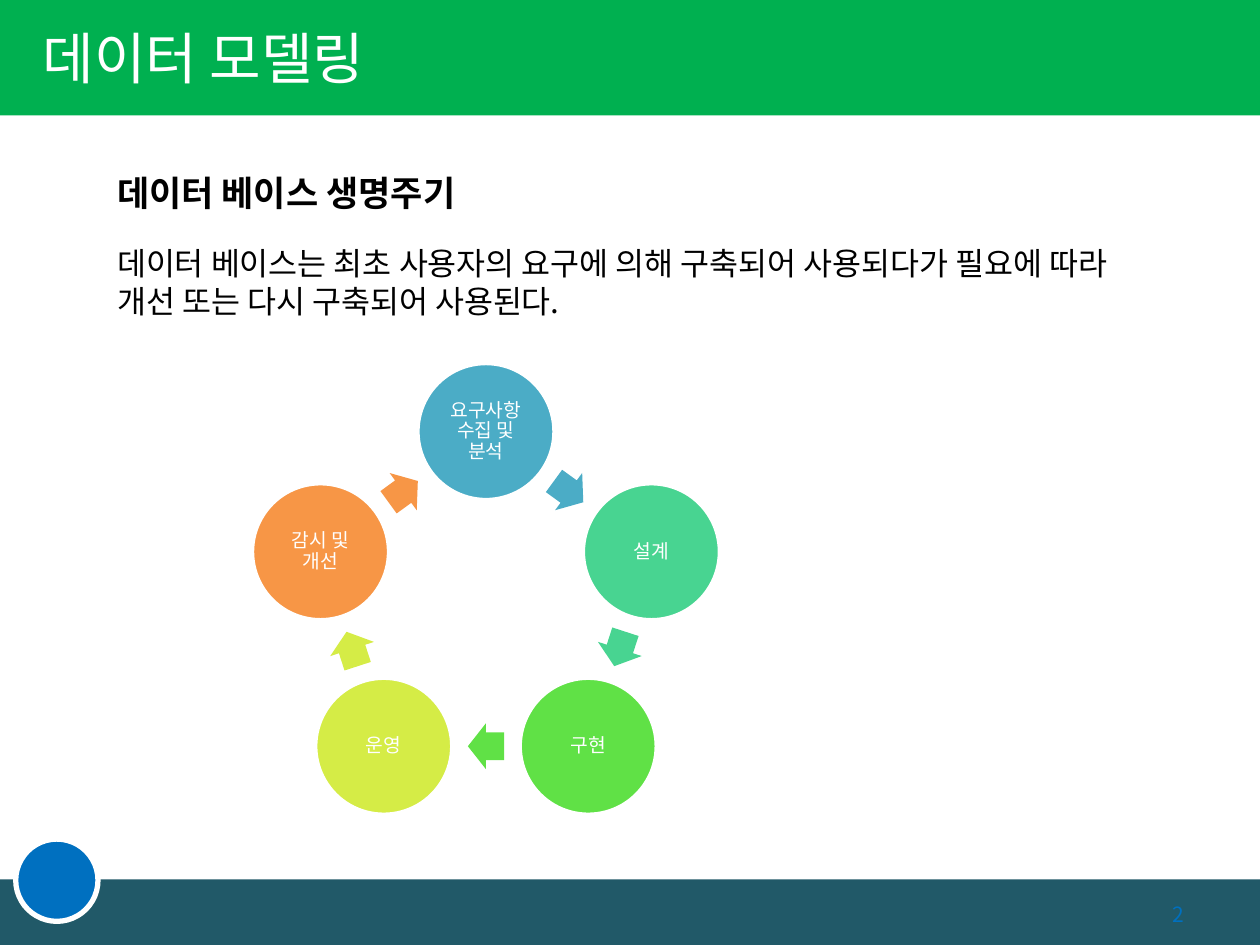
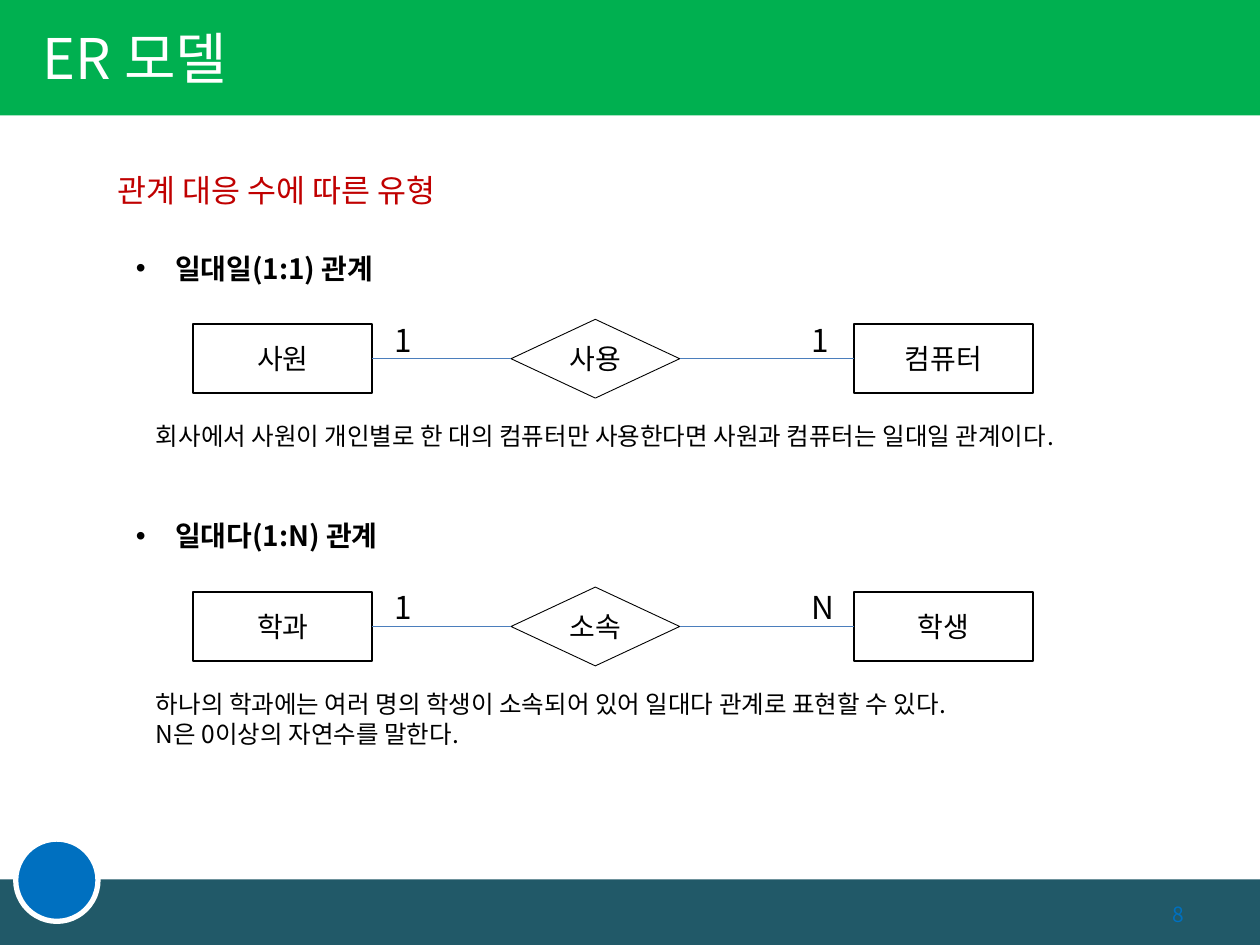
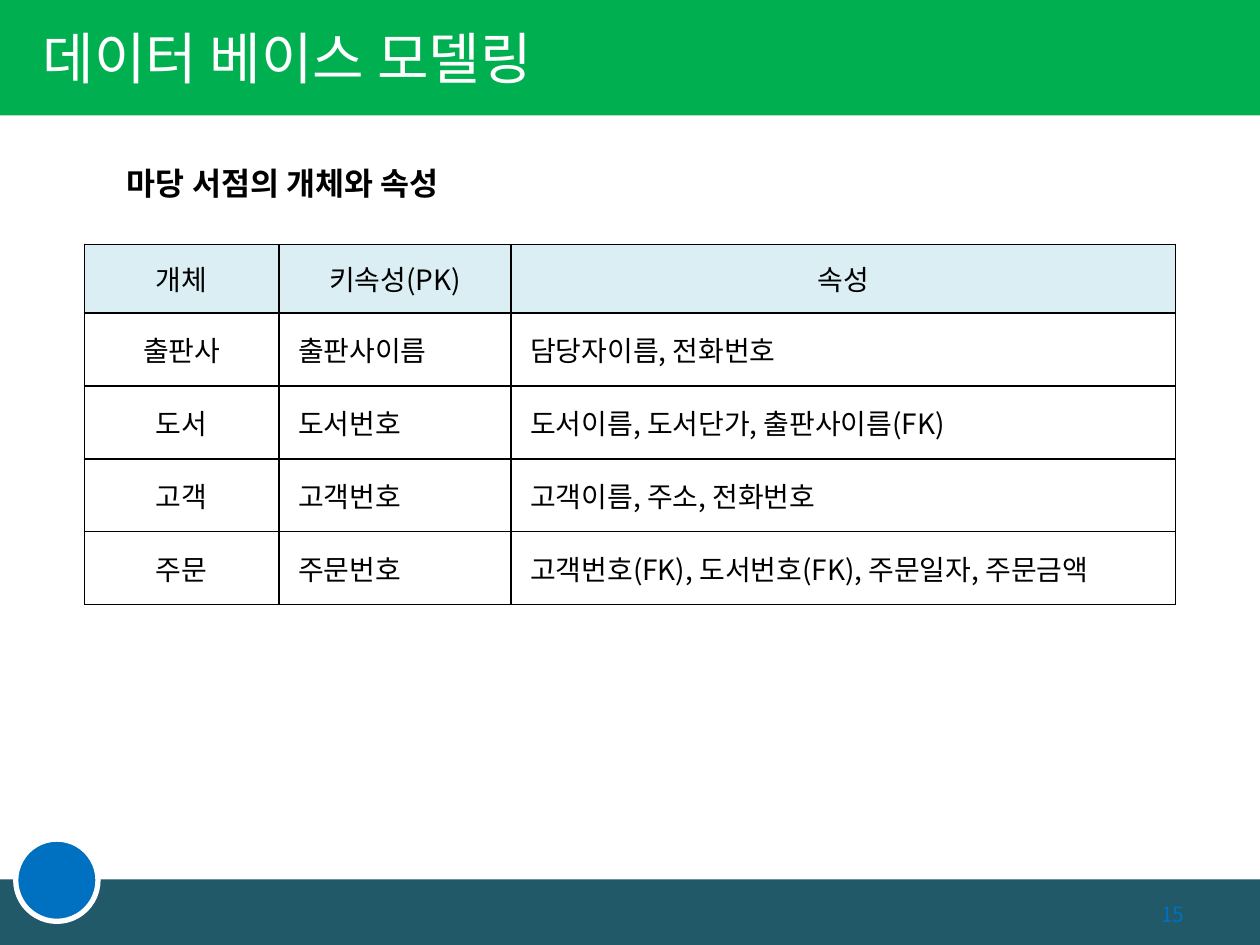
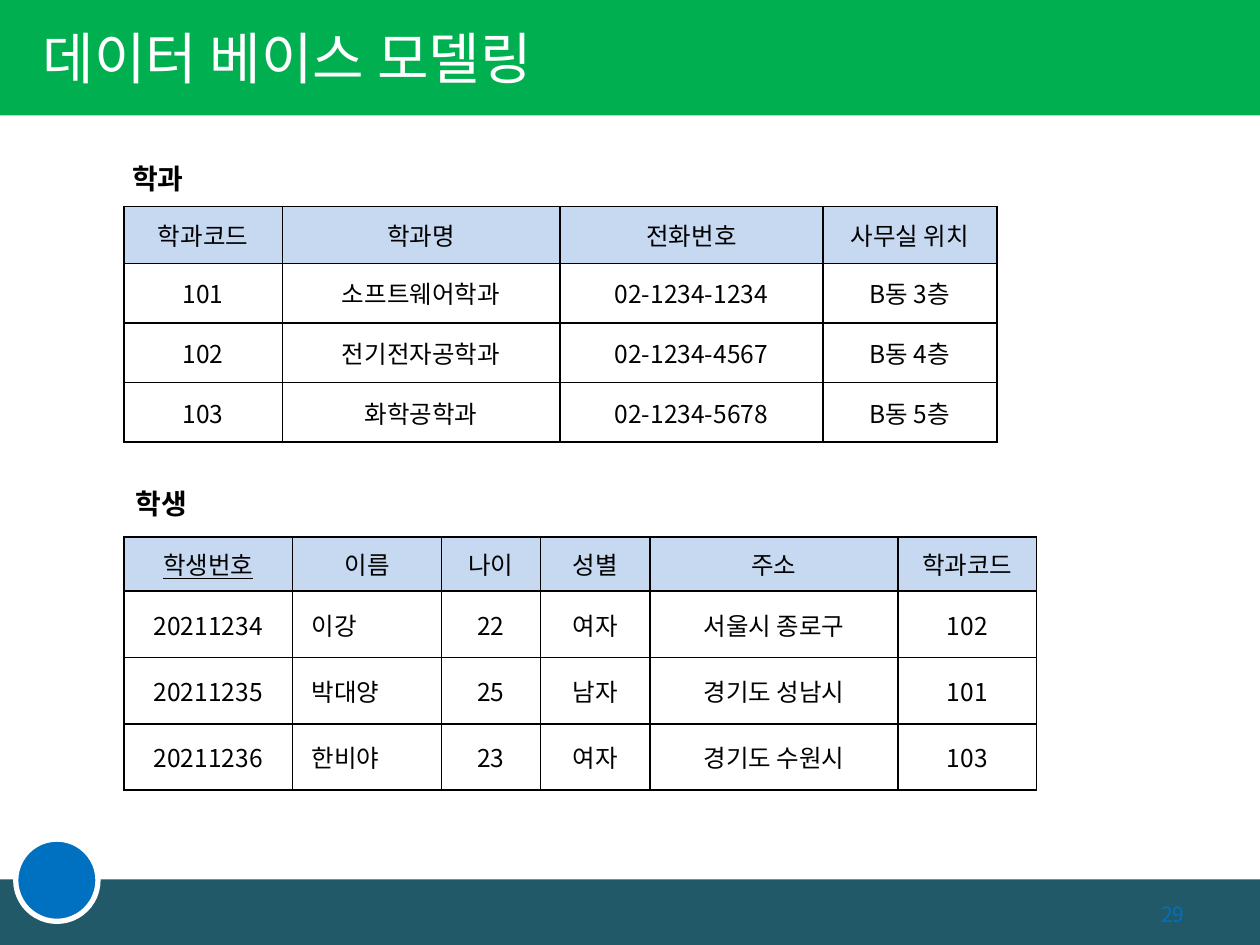
from dataclasses import dataclass
from math import cos, radians, sin

from lxml import etree
from pptx import Presentation, util as u
from pptx.dml.color import RGBColor
from pptx.enum import shapes, text
from pptx.oxml.ns import qn

# Shared look
FONT = "Noto Sans CJK KR"
BLACK, WHITE, RED = "000000", "FFFFFF", "C00000"
GREEN, TEAL, BLUE = "00B050", "215968", "0070C0"
LINK_BLUE = "4B7EBC"
SLIDE_W, SLIDE_H = 720, 540
Kind = shapes.MSO_SHAPE
LEFT, CENTER, RIGHT = text.PP_ALIGN.LEFT, text.PP_ALIGN.CENTER, text.PP_ALIGN.RIGHT
MIDDLE = text.MSO_ANCHOR.MIDDLE


@dataclass(frozen=True)
class Box:
    left: float
    top: float
    width: float
    height: float

    def lengths(self) -> list:
        return [u.Pt(v) for v in (self.left, self.top, self.width, self.height)]


@dataclass(frozen=True)
class Style:
    size: float
    color: str = BLACK
    bold: bool = False
    underline: bool = False
    align: int = LEFT


@dataclass(frozen=True)
class Stage:
    label: str
    color: str


@dataclass(frozen=True)
class Relation:
    heading: str
    entities: tuple
    verb: str
    counts: tuple
    remarks: tuple
    remark_height: float


@dataclass(frozen=True)
class Grid:
    left: float
    top: float
    columns: tuple
    header_height: float
    row_height: float
    header_fill: str
    size: float
    rows: tuple
    left_columns: tuple = ()
    key_columns: tuple = ()


def rgb(value: str) -> RGBColor:
    return RGBColor.from_string(value)


def write(frame, lines: tuple, style: Style) -> None:
    """Put one paragraph per line into a text frame."""
    frame.word_wrap = True
    for index, line in enumerate(lines):
        paragraph = frame.paragraphs[0] if index == 0 else frame.add_paragraph()
        paragraph.alignment = style.align
        run = paragraph.add_run()
        run.text = line
        values = {"name": FONT, "size": u.Pt(style.size), "bold": style.bold,
                  "underline": style.underline}
        for name, value in values.items():
            setattr(run.font, name, value)
        run.font.color.rgb = rgb(style.color)
        east_asian = etree.Element(qn("a:ea"), typeface=FONT)
        run.font._element.find(qn("a:latin")).addnext(east_asian)


def add_text(slide, box: Box, lines: tuple, style: Style, anchor=text.MSO_ANCHOR.TOP):
    frame = slide.shapes.add_textbox(*box.lengths()).text_frame
    write(frame, lines, style)
    frame.vertical_anchor = anchor
    return frame


def add_bullet(slide, box: Box, line: str, style: Style) -> None:
    frame = add_text(slide, box, (line,), style)
    properties = frame.paragraphs[0]._p.get_or_add_pPr()
    indent = u.Pt(22.5)
    properties.set("marL", str(indent))
    properties.set("indent", str(-indent))
    etree.SubElement(properties, qn("a:buFont"), typeface="Arial")
    etree.SubElement(properties, qn("a:buChar"), char="•")


def add_figure(slide, kind, box: Box, fill: str = "", line: str = "", weight: float = 1):
    figure = slide.shapes.add_shape(kind, *box.lengths())
    figure.shadow.inherit = False
    if fill:
        figure.fill.solid()
        figure.fill.fore_color.rgb = rgb(fill)
    else:
        figure.fill.background()
    if line:
        figure.line.color.rgb = rgb(line)
        figure.line.width = u.Pt(weight)
    else:
        figure.line.fill.background()
    return figure


def add_labelled(slide, kind, box: Box, label: str, weight: float):
    figure = add_figure(slide, kind, box, line=BLACK, weight=weight)
    write(figure.text_frame, (label,), Style(16, align=CENTER))
    figure.text_frame.vertical_anchor = MIDDLE
    return figure


def add_link(slide, start, end) -> None:
    """Join the right side of one figure to the left side of the next."""
    link = slide.shapes.add_connector(shapes.MSO_CONNECTOR.STRAIGHT, 0, 0, 0, 0)
    link.begin_connect(start, 3)
    link.end_connect(end, 1)
    link.line.color.rgb = rgb(LINK_BLUE)
    link.line.width = u.Pt(0.75)
    etree.SubElement(link._element.spPr, qn("a:effectLst"))


def add_page(deck, title: str, number: int):
    """Start a slide with its title band, footer band and page number."""
    slide = deck.slides.add_slide(deck.slide_layouts[6])
    add_figure(slide, Kind.RECTANGLE, Box(0, 502.5, SLIDE_W, 37.5), TEAL)
    add_figure(slide, Kind.OVAL, Box(9, 479.5, 47, 47), BLUE, WHITE, 3)
    add_figure(slide, Kind.RECTANGLE, Box(0, 0, SLIDE_W, 66), GREEN)
    heading = add_text(slide, Box(0, -1.4, 451, 67.6), (title,), Style(32, WHITE), MIDDLE)
    heading.margin_left = u.Pt(24.5)
    add_text(slide, Box(612, 508, 72, 29), (str(number),),
             Style(12, BLUE, align=RIGHT), MIDDLE)
    return slide


def draw_cycle(slide, stages: tuple) -> None:
    """Place the stages evenly on a ring, with an arrow after each."""
    center_x, center_y, ring, disc = 277.7, 346, 99.4, 77.8
    arrow_w, arrow_h = 20.7, 26.3
    step = 360 / len(stages)
    arrow_ring = ring * cos(radians(step / 2))

    def around(angle: float, radius: float, width: float, height: float) -> Box:
        x = center_x + radius * sin(radians(angle))
        y = center_y - radius * cos(radians(angle))
        return Box(x - width / 2, y - height / 2, width, height)

    for index, stage in enumerate(stages):
        angle = index * step
        circle = add_figure(slide, Kind.OVAL, around(angle, ring, disc, disc),
                            stage.color, WHITE, 2)
        frame = circle.text_frame
        write(frame, (stage.label,), Style(11, WHITE, align=CENTER))
        frame.vertical_anchor = MIDDLE
        frame.paragraphs[0].line_spacing = 0.9
        for side in ("left", "top", "right", "bottom"):
            setattr(frame, f"margin_{side}", u.Pt(1.4))
        turn = angle + step / 2
        arrow = add_figure(slide, Kind.RIGHT_ARROW,
                           around(turn, arrow_ring, arrow_w, arrow_h), stage.color)
        arrow.rotation = turn
        arrow.adjustments[0], arrow.adjustments[1] = 0.6, 0.5


def draw_relation(slide, relation: Relation, top: float) -> None:
    """Draw heading, entity - verb - entity row and remarks."""
    add_bullet(slide, Box(70.6, top, 161, 26.6), relation.heading, Style(16, bold=True))
    first, second = (
        add_labelled(slide, Kind.RECTANGLE, Box(left, top + 45.2, 102.2, 39.6), name, 1)
        for left, name in zip((110.5, 488), relation.entities))
    verb = add_labelled(slide, Kind.DIAMOND, Box(292, top + 42.5, 96.4, 45),
                        relation.verb, 0.5)
    add_link(slide, first, verb)
    add_link(slide, verb, second)
    for left, count in zip((218.2, 456.5), relation.counts):
        add_text(slide, Box(left, top + 39.6, 28, 29), (count,), Style(18))
    add_text(slide, Box(82, top + 97.3, 595.5, relation.remark_height),
             relation.remarks, Style(14))


def draw_grid(slide, grid: Grid) -> None:
    heights = [grid.header_height] + [grid.row_height] * (len(grid.rows) - 1)
    box = Box(grid.left, grid.top, sum(grid.columns), sum(heights))
    table = slide.shapes.add_table(len(heights), len(grid.columns), *box.lengths()).table
    table.first_row = table.horz_banding = False
    for column, width in zip(table.columns, grid.columns):
        column.width = u.Pt(width)
    for row, height in zip(table.rows, heights):
        row.height = u.Pt(height)
    for r, labels in enumerate(grid.rows):
        for c, label in enumerate(labels):
            cell = table.cell(r, c)
            header = r == 0
            indented = not header and c in grid.left_columns
            write(cell.text_frame, (label,),
                  Style(grid.size, underline=header and c in grid.key_columns,
                        align=LEFT if indented else CENTER))
            cell.vertical_anchor = MIDDLE
            if indented:
                cell.margin_left = u.Pt(11)
            add_borders(cell)
            if header:
                cell.fill.solid()
                cell.fill.fore_color.rgb = rgb(grid.header_fill)
            else:
                cell.fill.background()


def add_borders(cell) -> None:
    properties = cell._tc.get_or_add_tcPr()
    for side in ("lnL", "lnR", "lnT", "lnB"):
        border = etree.SubElement(properties, qn(f"a:{side}"), w=str(u.Pt(1)))
        fill = etree.SubElement(border, qn("a:solidFill"))
        etree.SubElement(fill, qn("a:srgbClr"), val=BLACK)


# Content
STAGES = (
    Stage("요구사항 수집 및 분석", "4BACC6"),
    Stage("설계", "48D491"),
    Stage("구현", "60E146"),
    Stage("운영", "D5EC46"),
    Stage("감시 및 개선", "F79646"),
)

RELATIONS = (
    Relation("일대일(1:1) 관계", ("사원", "컴퓨터"), "사용", ("1", "1"),
             ("회사에서 사원이 개인별로 한 대의 컴퓨터만 사용한다면 사원과 컴퓨터는 일대일 관계이다.",),
             24.5),
    Relation("일대다(1:N) 관계", ("학과", "학생"), "소속", ("1", "N"),
             ("하나의 학과에는 여러 명의 학생이 소속되어 있어 일대다 관계로 표현할 수 있다.",
              "N은 0이상의 자연수를 말한다."), 41),
)

BOOKSTORE = Grid(48.2, 139.6, (111.2, 132.7, 379.6), 39.4, 41.6, "DBEEF4", 16, (
    ("개체", "키속성(PK)", "속성"),
    ("출판사", "출판사이름", "담당자이름, 전화번호"),
    ("도서", "도서번호", "도서이름, 도서단가, 출판사이름(FK)"),
    ("고객", "고객번호", "고객이름, 주소, 전화번호"),
    ("주문", "주문번호", "고객번호(FK), 도서번호(FK), 주문일자, 주문금액"),
), left_columns=(1, 2))

DEPARTMENTS = Grid(70.8, 118, (90.5, 158.7, 150.3, 99.4), 32.5, 34.1, "C6D9F1", 14, (
    ("학과코드", "학과명", "전화번호", "사무실 위치"),
    ("101", "소프트웨어학과", "02-1234-1234", "B동 3층"),
    ("102", "전기전자공학과", "02-1234-4567", "B동 4층"),
    ("103", "화학공학과", "02-1234-5678", "B동 5층"),
))

STUDENTS = Grid(70.8, 306.8, (96.4, 85.1, 56.6, 62.6, 141.7, 79.2), 31, 37.9,
                "C6D9F1", 14, (
    ("학생번호", "이름", "나이", "성별", "주소", "학과코드"),
    ("20211234", "이강", "22", "여자", "서울시 종로구", "102"),
    ("20211235", "박대양", "25", "남자", "경기도 성남시", "101"),
    ("20211236", "한비야", "23", "여자", "경기도 수원시", "103"),
), left_columns=(1,), key_columns=(0,))


def main() -> None:
    deck = Presentation()
    deck.slide_width, deck.slide_height = u.Pt(SLIDE_W), u.Pt(SLIDE_H)

    # Database life cycle
    life_cycle = add_page(deck, "데이터 모델링", 2)
    add_text(life_cycle, Box(59.8, 94.3, 249, 31.5), ("데이터 베이스 생명주기",),
             Style(20, bold=True))
    add_text(life_cycle, Box(59.8, 136, 595.5, 51),
             ("데이터 베이스는 최초 사용자의 요구에 의해 구축되어 사용되다가 필요에 따라 "
              "개선 또는 다시 구축되어 사용된다.",), Style(18))
    draw_cycle(life_cycle, STAGES)

    # Relation types
    er_model = add_page(deck, "ER 모델", 8)
    add_text(er_model, Box(59.8, 94.3, 221, 29), ("관계 대응 수에 따른 유형",),
             Style(18, RED))
    for index, relation in enumerate(RELATIONS):
        draw_relation(er_model, relation, 140 + index * 153)

    # Bookstore entities
    bookstore = add_page(deck, "데이터 베이스 모델링", 15)
    draw_grid(bookstore, BOOKSTORE)
    add_text(bookstore, Box(65.5, 90, 255, 29), ("마당 서점의 개체와 속성",),
             Style(18, bold=True))

    # Departments and students
    records = add_page(deck, "데이터 베이스 모델링", 29)
    for name, left, top, grid in (("학과", 68.4, 88.6, DEPARTMENTS),
                                  ("학생", 70.6, 274.3, STUDENTS)):
        draw_grid(records, grid)
        add_text(records, Box(left, top, 54, 26.6), (name,), Style(16, bold=True))

    deck.save("out.pptx")


if __name__ == "__main__":
    main()
